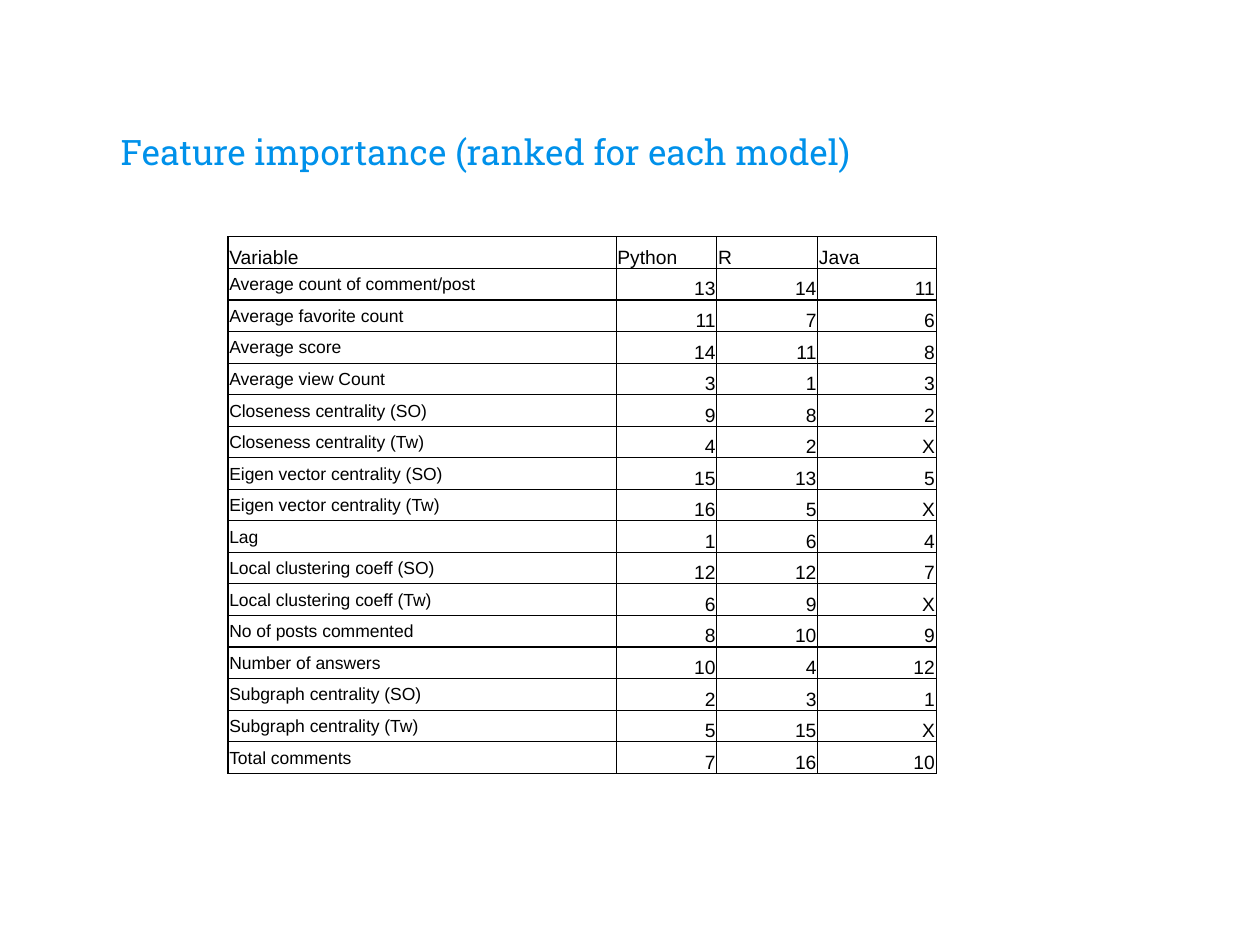
from lxml.etree import SubElement
from pptx import Presentation
from pptx.dml.color import RGBColor
from pptx.enum.text import MSO_ANCHOR, PP_ALIGN
from pptx.oxml.ns import qn
from pptx.util import Inches, Pt

BLUE, BLACK = "0091EA", "000000"
COLUMN_WIDTHS = [3.08, 0.8, 0.8, 0.94]
TABLE_HEIGHT = 4.26
HEADER = ["Variable", "Python", "R", "Java"]
RANKS = [
    ["Average count of comment/post", "13", "14", "11"],
    ["Average favorite count", "11", "7", "6"],
    ["Average score", "14", "11", "8"],
    ["Average view Count", "3", "1", "3"],
    ["Closeness centrality (SO)", "9", "8", "2"],
    ["Closeness centrality (Tw)", "4", "2", "X"],
    ["Eigen vector centrality (SO)", "15", "13", "5"],
    ["Eigen vector centrality (Tw)", "16", "5", "X"],
    ["Lag", "1", "6", "4"],
    ["Local clustering coeff (SO)", "12", "12", "7"],
    ["Local clustering coeff (Tw)", "6", "9", "X"],
    ["No of posts commented", "8", "10", "9"],
    ["Number of answers", "10", "4", "12"],
    ["Subgraph centrality (SO)", "2", "3", "1"],
    ["Subgraph centrality (Tw)", "5", "15", "X"],
    ["Total comments", "7", "16", "10"],
]


def rgb(color):
    return RGBColor.from_string(color)


def set_attrs(obj, values):
    for name, value in values.items():
        setattr(obj, name, value)


def write(tf, text, size, font, color, align=PP_ALIGN.LEFT):
    p = tf.paragraphs[0]
    p.alignment = align
    r = p.add_run()
    r.text = text
    set_attrs(r.font, {"size": Pt(size), "name": font})
    r.font.color.rgb = rgb(color)


def add_title(s, text):
    tf = s.shapes.add_textbox(Inches(0.86), Inches(0.45), Inches(8.28), Inches(1.02)).text_frame
    margins = {f"margin_{side}": Inches(0.1) for side in ("left", "top", "right", "bottom")}
    set_attrs(tf, {"word_wrap": True, "vertical_anchor": MSO_ANCHOR.BOTTOM, **margins})
    write(tf, text, 20, "Roboto Slab", BLUE)


def add_borders(cell, color, width):
    tcPr = cell._tc.get_or_add_tcPr()
    for side in ("a:lnL", "a:lnR", "a:lnT", "a:lnB"):
        ln = SubElement(tcPr, qn(side), w=str(Pt(width)))
        fill = SubElement(ln, qn("a:solidFill"))
        SubElement(fill, qn("a:srgbClr"), val=color)


def format_cell(cell, text, is_header, is_label):
    anchor = MSO_ANCHOR.MIDDLE if is_label and not is_header else MSO_ANCHOR.BOTTOM
    set_attrs(cell, {
        "margin_left": Inches(0.01), "margin_right": Inches(0.01),
        "margin_top": Inches(0.01), "margin_bottom": 0,
        "vertical_anchor": anchor,
    })
    # Borders come before the fill in the cell properties
    add_borders(cell, BLACK, 0.75)
    cell.fill.background()
    align = PP_ALIGN.LEFT if is_header or is_label else PP_ALIGN.RIGHT
    size = 10 if is_label and not is_header else 11
    write(cell.text_frame, text, size, "Arial", BLACK, align)


def add_rank_table(s, rows):
    table = s.shapes.add_table(
        len(rows), len(COLUMN_WIDTHS), Inches(1.81), Inches(1.88),
        Inches(sum(COLUMN_WIDTHS)), Inches(TABLE_HEIGHT)).table
    set_attrs(table, {"first_row": False, "horz_banding": False})
    for column, width in zip(table.columns, COLUMN_WIDTHS):
        column.width = Inches(width)
    for i, values in enumerate(rows):
        table.rows[i].height = Inches(TABLE_HEIGHT / len(rows))
        for j, text in enumerate(values):
            format_cell(table.cell(i, j), text, i == 0, j == 0)


def main():
    prs = Presentation()
    set_attrs(prs, {"slide_width": Inches(10), "slide_height": Inches(7.5)})
    s = prs.slides.add_slide(prs.slide_layouts[6])

    # Title
    add_title(s, "Feature importance (ranked for each model)")

    # Ranks of each variable per language
    add_rank_table(s, [HEADER, *RANKS])

    prs.save("out.pptx")


if __name__ == "__main__":
    main()
